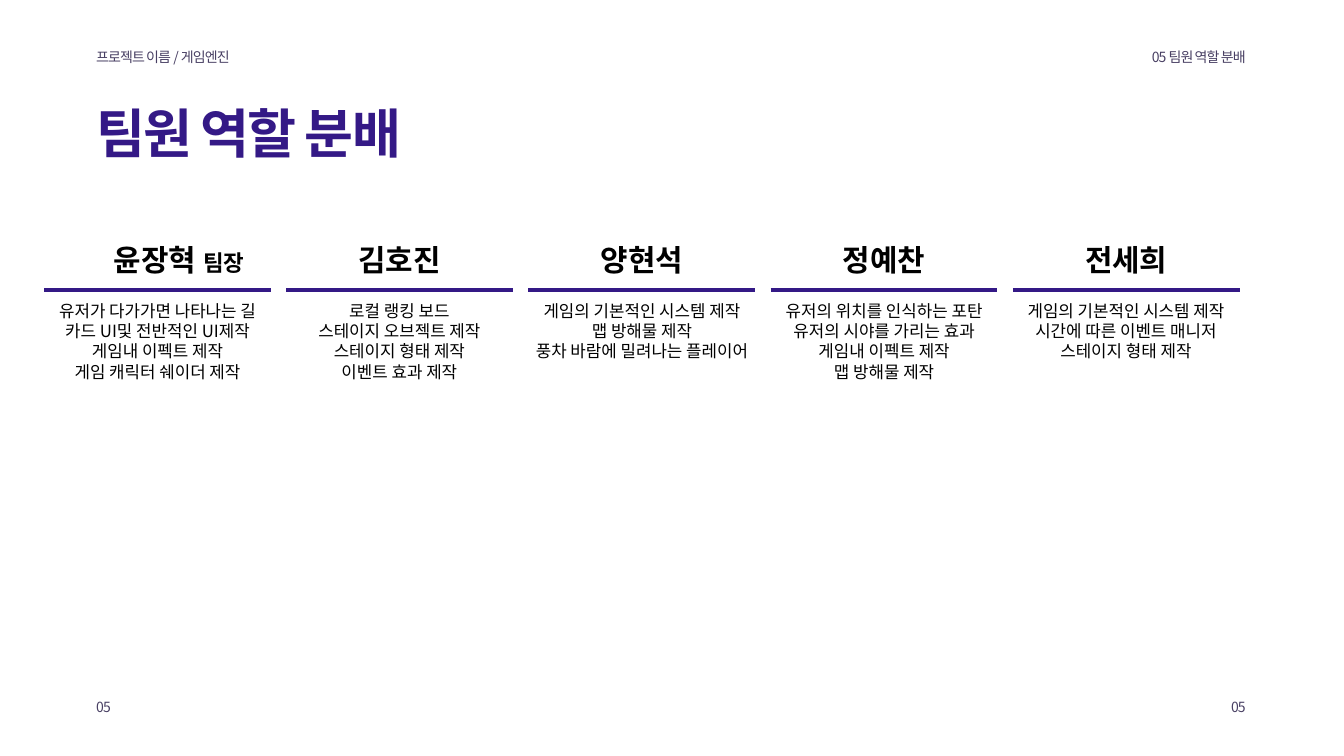
import pptx
import pptx.dml.color
import pptx.enum.shapes
import pptx.enum.text
import pptx.oxml
import pptx.oxml.ns
import pptx.util

PX = 9525  # EMU per px, 96 px to the inch
FONT = "Noto Sans CJK KR"
PURPLE, GREY, BLACK = "341986", "483F63", "000000"
ALIGN = pptx.enum.text.PP_ALIGN

PITCH, COLUMN_W, FIRST_X = 346, 324, 63
NAME_Y, RULE_Y, ROLES_Y = 340, 414, 425

# name, suffix, name box width, roles box width, roles
MEMBERS = [
    ("윤장혁", "팀장", 262, 336,
     ["유저가 다가가면 나타나는 길", "카드 UI및 전반적인 UI제작",
      "게임내 이펙트 제작", "게임 캐릭터 쉐이더 제작"]),
    ("김호진", "", 200, 279,
     ["로컬 랭킹 보드", "스테이지 오브젝트 제작",
      "스테이지 형태 제작", "이벤트 효과 제작"]),
    ("양현석", "", 200, 360,
     ["게임의 기본적인 시스템 제작", "맵 방해물 제작", "풍차 바람에 밀려나는 플레이어"]),
    ("정예찬", "", 200, 336,
     ["유저의 위치를 인식하는 포탄", "유저의 시야를 가리는 효과",
      "게임내 이펙트 제작", "맵 방해물 제작"]),
    ("전세희", "", 200, 345,
     ["게임의 기본적인 시스템 제작", "시간에 따른 이벤트 매니저", "스테이지 형태 제작"]),
]


def rgb(value):
    return pptx.dml.color.RGBColor.from_string(value)


def px(*lengths):
    return [pptx.util.Emu(n * PX) for n in lengths]


class Deck:
    """Holds the style and the current slide."""

    def __init__(self, width, height):
        self.prs = pptx.Presentation()
        self.prs.slide_width, self.prs.slide_height = px(width, height)
        self.s = self.prs.slides.add_slide(self.prs.slide_layouts[5])

    def run(self, p, text, size, color, bold=False, spacing=0):
        r = p.add_run()
        r.text = text
        r.font.size = pptx.util.Pt(size)
        r.font.bold = bold
        r.font.color.rgb = rgb(color)
        r.font.name = FONT
        rPr = r.font._element
        ea = pptx.oxml.parse_xml(
            f'<a:ea {pptx.oxml.ns.nsdecls("a")} typeface="{FONT}"/>')
        rPr.find(pptx.oxml.ns.qn("a:latin")).addnext(ea)
        if spacing:
            rPr.set("spc", str(spacing * 100))

    def fill(self, sp, paragraphs, align, wrap=True):
        """Write paragraphs, each a list of run arguments, into a shape."""
        tf = sp.text_frame
        tf.word_wrap = wrap
        tf.auto_size = pptx.enum.text.MSO_AUTO_SIZE.SHAPE_TO_FIT_TEXT
        tf.vertical_anchor = pptx.enum.text.MSO_ANCHOR.TOP
        for i, runs in enumerate(paragraphs):
            p = tf.add_paragraph() if i else tf.paragraphs[0]
            p.alignment = align
            for args in runs:
                self.run(p, *args)

    def title(self, text, x, y, w, h):
        sp = self.s.shapes.title
        sp.left, sp.top, sp.width, sp.height = px(x, y, w, h)
        self.fill(sp, [[(text, 57, PURPLE, True, -2)]], ALIGN.LEFT)

    def caption(self, text, x, y, w, align):
        sp = self.s.shapes.add_textbox(*px(x, y, w, 34))
        self.fill(sp, [[(text, 15, GREY, False, -1)]], align)

    def rule(self, shapes, x, y, w):
        line = shapes.add_connector(
            pptx.enum.shapes.MSO_CONNECTOR.STRAIGHT, *px(x, y, x + w, y))
        line.line.color.rgb = rgb(PURPLE)
        line.line.width = pptx.util.Pt(4.5)
        line._element.spPr.append(pptx.oxml.parse_xml(
            f'<a:effectLst {pptx.oxml.ns.nsdecls("a")}/>'))

    def member(self, x, name, suffix, name_w, roles_w, roles):
        shapes = self.s.shapes.add_group_shape().shapes
        # A name with a suffix ends flush with the rule; others are centred.
        slack = COLUMN_W - name_w
        name_x = x + (slack if suffix else slack // 2)
        runs = [(name, 32, BLACK, True)]
        if suffix:
            runs = [(name + " ", 32, BLACK, True), (suffix, 24, BLACK, True)]
        sp = shapes.add_textbox(*px(name_x, NAME_Y, name_w, 61))
        self.fill(sp, [runs], ALIGN.CENTER)

        self.rule(shapes, x, RULE_Y, COLUMN_W)

        sp = shapes.add_textbox(*px(x + (COLUMN_W - roles_w) // 2, ROLES_Y,
                                    roles_w, 10 + 29 * len(roles)))
        self.fill(sp, [[(role, 18, BLACK)] for role in roles],
                  ALIGN.CENTER, wrap=False)


def main():
    deck = Deck(1920, 1080)
    deck.caption("05 팀원 역할 분배", 951, 65, 838, ALIGN.RIGHT)
    deck.caption("프로젝트 이름 / 게임엔진", 128, 65, 552, ALIGN.LEFT)
    deck.title("팀원 역할 분배", 128, 139, 1307, 102)
    for i, member in enumerate(MEMBERS):
        deck.member(FIRST_X + i * PITCH, *member)
    deck.caption("05", 1666, 993, 123, ALIGN.RIGHT)
    deck.caption("05", 128, 993, 270, ALIGN.LEFT)
    deck.prs.save("out.pptx")


if __name__ == "__main__":
    main()
